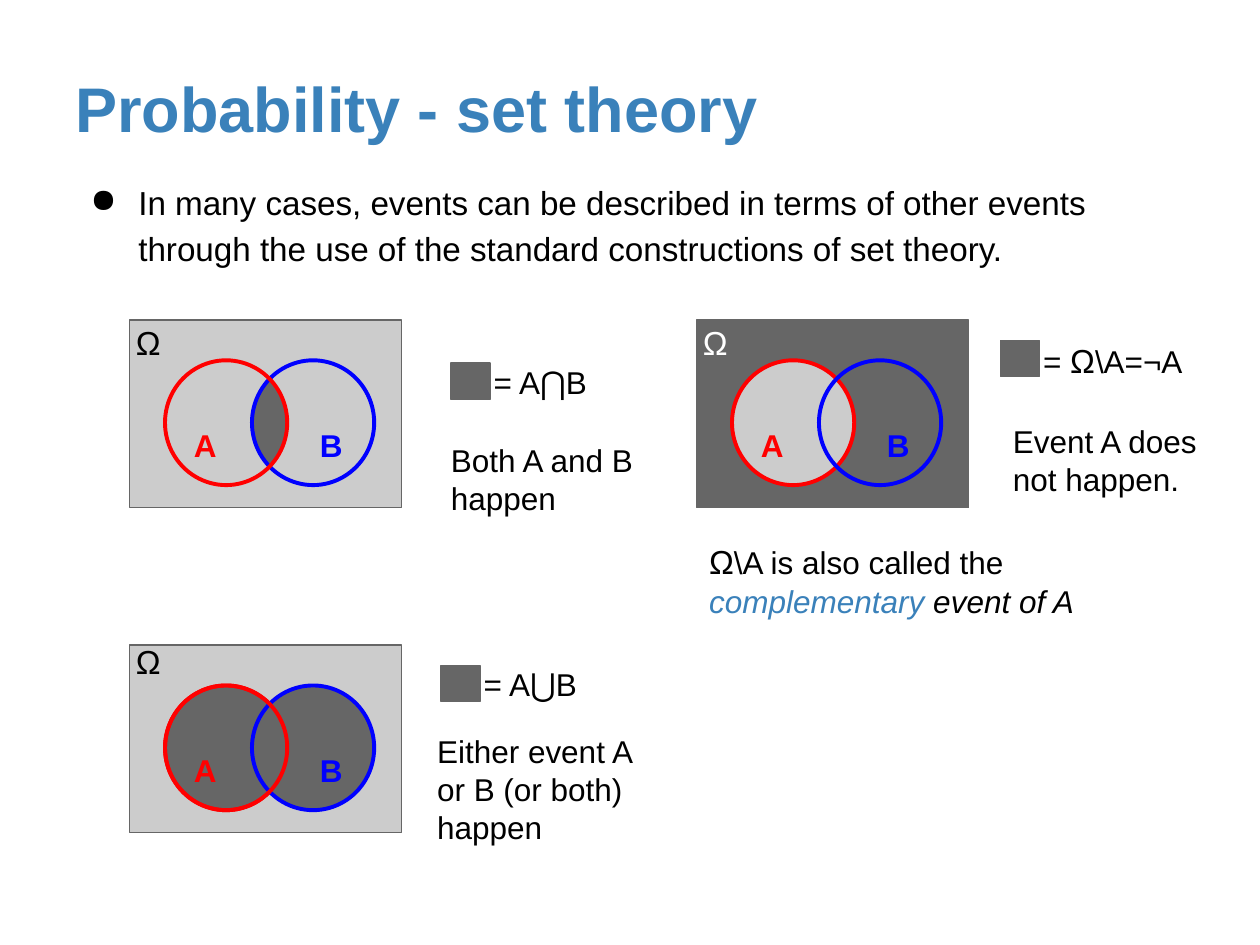
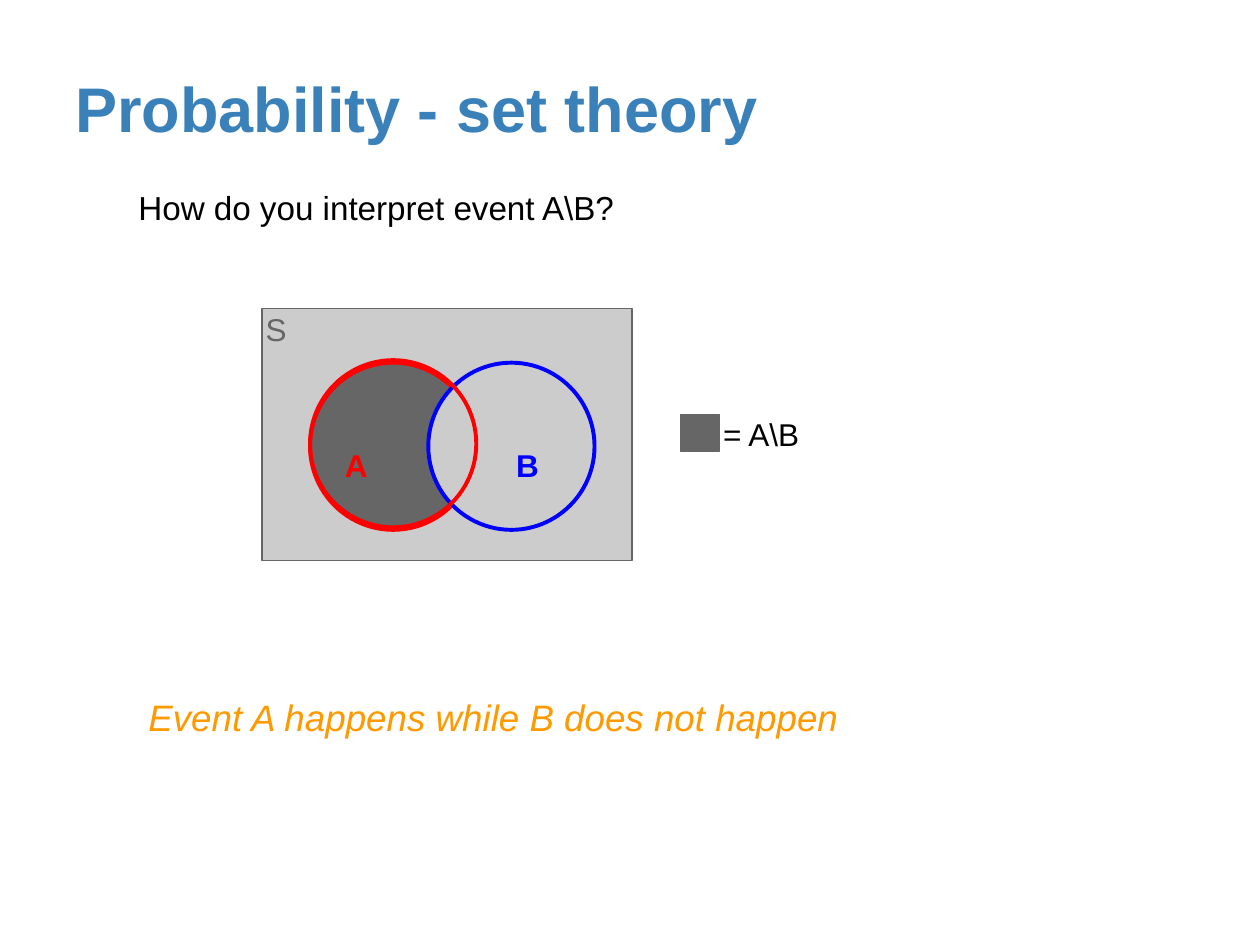
from dataclasses import dataclass
from math import acos, cos, sin

from lxml import etree
from pptx import Presentation
from pptx.dml.color import RGBColor
from pptx.enum.shapes import MSO_SHAPE
from pptx.enum.text import MSO_ANCHOR
from pptx.oxml.ns import qn
from pptx.util import Inches, Pt

RECTANGLE, OVAL = MSO_SHAPE.RECTANGLE, MSO_SHAPE.OVAL
TOP, MIDDLE, BOTTOM = MSO_ANCHOR.TOP, MSO_ANCHOR.MIDDLE, MSO_ANCHOR.BOTTOM


@dataclass(frozen=True)
class Theme:
    """Font, colours, type sizes and line widths of the deck."""
    font: str = "Arial"
    accent: str = "3A81BA"
    ink: str = "000000"
    white: str = "FFFFFF"
    light: str = "CCCCCC"
    dark: str = "666666"
    set_a: str = "FF0000"
    set_b: str = "0000FF"
    answer: str = "FF9900"
    title_size: float = 36
    answer_size: float = 21
    body_size: float = 19
    label_size: float = 18
    thin: float = 0.75
    thick: float = 2.25


THEME = Theme()


def rgb(color):
    """Turn a hex string into a colour."""
    return RGBColor.from_string(color)


def add_text(shapes, box, runs, size=THEME.label_size, color=THEME.ink,
             bold=False, italic=False, anchor=TOP, spaced=False):
    """Add one paragraph; runs are a string or (text, font overrides) pairs."""
    frame = shapes.add_textbox(*map(Inches, box)).text_frame
    frame.word_wrap = True
    frame.vertical_anchor = anchor
    frame.margin_left = frame.margin_right = Inches(0.1)
    frame.margin_top = frame.margin_bottom = Inches(0.1)
    paragraph = frame.paragraphs[0]
    font = paragraph.font
    font.name, font.size, font.bold, font.italic = THEME.font, Pt(size), bold, italic
    font.color.rgb = rgb(color)
    if spaced:
        paragraph.line_spacing = 1.15
        paragraph.space_before = Pt(4.8)
    for text, changes in [(runs, {})] if isinstance(runs, str) else runs:
        run = paragraph.add_run()
        run.text = text
        if "size" in changes:
            run.font.size = Pt(changes["size"])
        if "color" in changes:
            run.font.color.rgb = rgb(changes["color"])
        if "italic" in changes:
            run.font.italic = changes["italic"]
    return paragraph


def paint(shape, fill, line, width):
    """Give a shape its fill and outline and drop its shadow."""
    shape.shadow.inherit = False
    if fill:
        shape.fill.solid()
        shape.fill.fore_color.rgb = rgb(fill)
    else:
        shape.fill.background()
    shape.line.color.rgb = rgb(line)
    shape.line.width = Pt(width)


def add_block(shapes, box, fill):
    """Add a thinly outlined rectangle."""
    block = shapes.add_shape(RECTANGLE, *map(Inches, box))
    paint(block, fill, THEME.dark, THEME.thin)


def add_circle(shapes, box, fill, line):
    """Add the circle of one event."""
    circle = shapes.add_shape(OVAL, *map(Inches, box))
    paint(circle, fill, line, THEME.thick)


def add_lens(shapes, box_a, box_b):
    """Fill the overlap of two equal circles."""
    left, top, width, height = box_a
    radius_x, radius_y = width / 2, height / 2
    center_a, center_b = left + radius_x, box_b[0] + radius_x
    middle = top + radius_y
    reach = acos((center_b - center_a) / width)
    steps = 12
    angles = [reach * step / steps for step in range(-steps, steps + 1)]
    right_arc = [(center_a + radius_x * cos(t), middle + radius_y * sin(t)) for t in angles]
    left_arc = [(center_b - radius_x * cos(t), middle - radius_y * sin(t)) for t in angles]
    points = [(Inches(x), Inches(y)) for x, y in right_arc + left_arc]
    builder = shapes.build_freeform(*points[0])
    builder.add_line_segments(points[1:], close=True)
    paint(builder.convert_to_shape(), THEME.dark, THEME.dark, THEME.thin)


def add_venn(shapes, left, top, scale_x=1, scale_y=1, frame_fill=THEME.light,
             a_fill=None, b_fill=None, overlap=False, outline_rise=0):
    """Draw events A and B inside their framed sample space."""
    def place(x, y, width, height):
        return (left + x * scale_x, top + y * scale_y, width * scale_x, height * scale_y)

    add_block(shapes, place(0, 0, 2.16, 1.49), frame_fill)
    box_a, box_b = (place(x, 0.32, 0.97, 0.99) for x in (0.28, 0.97))
    if a_fill:
        add_circle(shapes, box_a, a_fill, THEME.set_a)
    if overlap:
        add_lens(shapes, box_a, box_b)
    add_circle(shapes, box_b, b_fill, THEME.set_b)
    if b_fill or not a_fill:
        outline = (box_a[0], box_a[1] - outline_rise, *box_a[2:])
        add_circle(shapes, outline, None, THEME.set_a)
    for event, x, color in (("A", 0.41, THEME.set_a), ("B", 1.41, THEME.set_b)):
        add_text(shapes, place(x, 0.74, 0.46, 0.46), event, color=color, bold=True)


def add_omega(slide, left, top, color=THEME.ink, spaced=True):
    """Mark the sample space at the corner of its frame."""
    add_text(slide.shapes, (left - 0.05, top - 0.13, 0.46, 0.46), "Ω",
             THEME.body_size, color, spaced=spaced)


def add_key(slide, left, top, formula):
    """Add a dark swatch followed by the formula it stands for."""
    add_text(slide.shapes, (left + 0.24, top - 0.1, 1.59, 0.99), formula)
    add_block(slide.shapes, (left, top, 0.31, 0.29), THEME.dark)


def add_body(slide, top, text, bullet=False):
    """Add the indented lead text, with or without a bullet."""
    paragraph = add_text(slide.shapes, (0.5, top, 8.7, 0.99), text,
                         THEME.body_size, spaced=True)
    properties = paragraph._p.get_or_add_pPr()
    properties.set("marL", str(Inches(0.5)))
    properties.set("indent", str(Inches(-0.38 if bullet else 0)))
    if bullet:
        mark = etree.Element(qn("a:buChar"), char="●")
        properties.find(qn("a:defRPr")).addprevious(mark)


def add_titled_slide(deck):
    """Add a blank slide with the shared title."""
    slide = deck.slides.add_slide(deck.slide_layouts[6])
    add_text(slide.shapes, (0.5, 0, 9, 1.25), "Probability - set theory",
             THEME.title_size, THEME.accent, bold=True, anchor=BOTTOM)
    return slide


def build_constructions(deck):
    """Show intersection, union and complement."""
    slide = add_titled_slide(deck)
    add_body(slide, 1.3, "In many cases, events can be described in terms of other events "
             "through the use of the standard constructions of set theory.", bullet=True)
    left, right, upper, lower = 1.03, 5.53, 2.54, 5.12
    omega = ("Ω", {"size": THEME.body_size})

    add_venn(slide.shapes, left, upper, overlap=True)
    add_omega(slide, left, upper)
    add_key(slide, 3.58, 2.88, "= A⋂B")
    add_text(slide.shapes, (3.48, 3.4, 1.98, 0.46), "Both A and B happen")

    add_venn(slide.shapes, left, lower, a_fill=THEME.dark, b_fill=THEME.dark)
    add_omega(slide, left, lower, spaced=False)
    add_key(slide, 3.5, 5.28, "= A⋃B")
    add_text(slide.shapes, (3.37, 5.71, 1.98, 0.46), "Either event A or B (or both) happen")

    add_venn(slide.shapes, right, upper, frame_fill=THEME.dark, a_fill=THEME.light)
    add_omega(slide, right, upper, THEME.white)
    add_key(slide, 7.94, 2.7, [("= ", {}), omega, ("\\A=¬A", {})])
    add_text(slide.shapes, (7.94, 3.25, 1.83, 0.78), "Event A does not happen.")
    add_text(slide.shapes, (5.53, 4.2, 4.05, 1.37), [
        omega,
        ("\\A is also called the ", {}),
        ("complementary", {"color": THEME.accent, "italic": True}),
        (" event of A", {"italic": True}),
    ])


def build_difference(deck):
    """Ask for and answer the meaning of the set difference."""
    slide = add_titled_slide(deck)
    add_body(slide, 1.34, "How do you interpret event A\\B?")
    diagram = slide.shapes.add_group_shape().shapes
    add_venn(diagram, 2.08, 2.45, 1.36, 1.34, a_fill=THEME.dark, b_fill=THEME.light,
             outline_rise=0.02)
    add_text(diagram, (2.01, 2.36, 0.62, 0.61), "S", color=THEME.dark)
    add_key(slide, 5.4, 3.29, "= A\\B")
    add_text(slide.shapes, (1.08, 5.46, 6.76, 0.46), "Event A happens while B does not happen",
             THEME.answer_size, THEME.answer, italic=True, anchor=MIDDLE)


def main():
    """Build and save the deck."""
    deck = Presentation()
    deck.slide_width, deck.slide_height = Inches(10), Inches(7.5)
    build_constructions(deck)
    build_difference(deck)
    deck.save("out.pptx")


if __name__ == "__main__":
    main()
